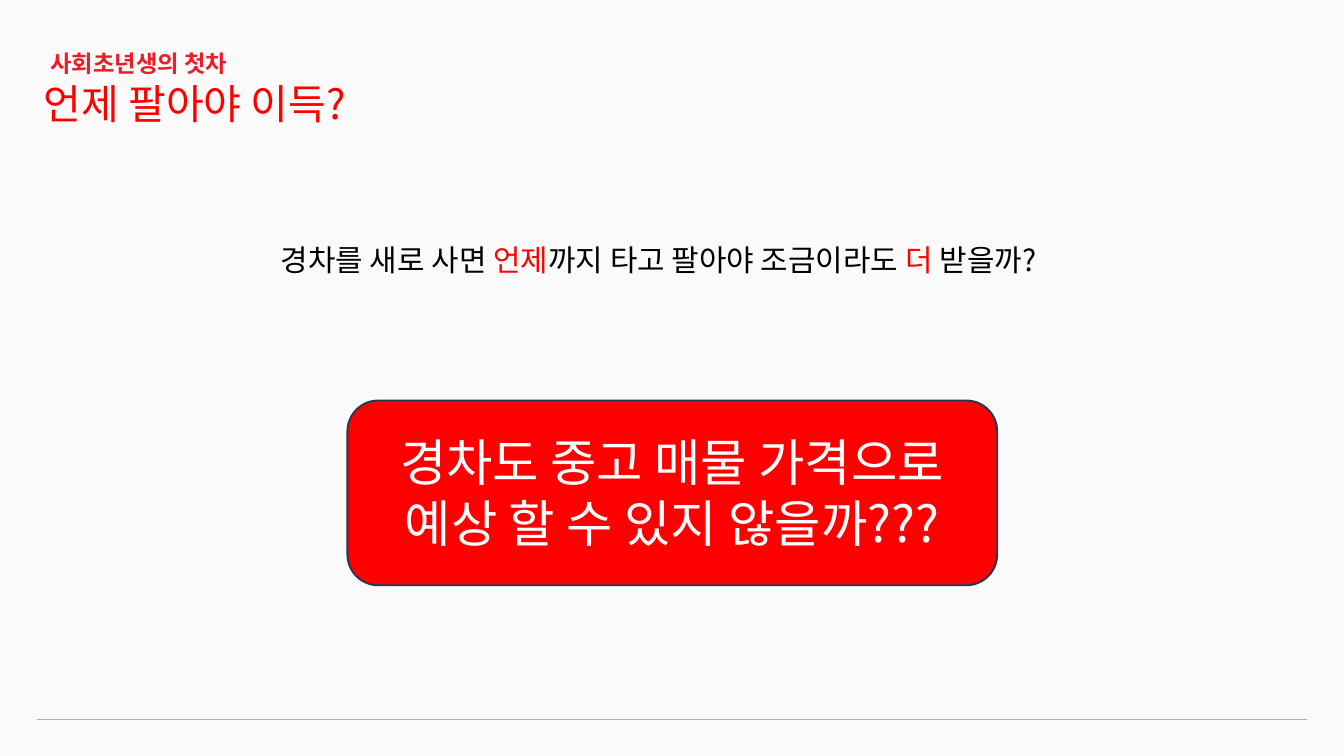
from lxml.etree import SubElement
from pptx import Presentation
from pptx.dml.color import RGBColor
from pptx.enum.shapes import MSO_CONNECTOR, MSO_SHAPE
from pptx.enum.text import MSO_AUTO_SIZE, PP_ALIGN
from pptx.oxml.ns import qn
from pptx.util import Inches, Pt

BACKGROUND = RGBColor(0xFA, 0xFA, 0xFA)
RED = RGBColor(0xFF, 0x00, 0x00)
CRIMSON = RGBColor(0xEB, 0x1D, 0x26)
NAVY = RGBColor(0x23, 0x39, 0x53)
GRAY = RGBColor(0xAF, 0xAF, 0xAF)
BLACK = RGBColor(0x00, 0x00, 0x00)
WHITE = RGBColor(0xFF, 0xFF, 0xFF)
COLUMNS, ROWS = 20, 11.25


class SlideBuilder:
    typeface = "Noto Sans CJK SC"

    def __init__(self, presentation):
        self.column = presentation.slide_width / COLUMNS
        self.row = presentation.slide_height / ROWS
        self.slide = presentation.slides.add_slide(presentation.slide_layouts[6])
        fill = self.slide.background.fill
        fill.solid()
        fill.fore_color.rgb = BACKGROUND

    def place(self, x, y, width, height):
        return (round(x * self.column), round(y * self.row),
                round(width * self.column), round(height * self.row))

    def panel(self, area, color, outline, weight):
        shape = self.slide.shapes.add_shape(MSO_SHAPE.ROUNDED_RECTANGLE, *self.place(*area))
        shape.shadow.inherit = False
        shape.fill.solid()
        shape.fill.fore_color.rgb = color
        shape.line.color.rgb = outline
        shape.line.width = Pt(weight)

    def rule(self, margin, y, color, weight):
        ends = self.place(margin, y, COLUMNS - margin, y)
        connector = self.slide.shapes.add_connector(MSO_CONNECTOR.STRAIGHT, *ends)
        connector.line.color.rgb = color
        connector.line.width = Pt(weight)
        SubElement(connector._element.spPr, qn("a:effectLst"))

    def text(self, area, runs, size, bold=False, frame_format=None, paragraph_format=None):
        frame = self.slide.shapes.add_textbox(*self.place(*area)).text_frame
        paragraph = frame.paragraphs[0]
        frame_values = {"word_wrap": True, "auto_size": MSO_AUTO_SIZE.SHAPE_TO_FIT_TEXT}
        self.apply(frame, frame_values | (frame_format or {}))
        self.apply(paragraph, paragraph_format or {})
        for words, color in runs:
            run = paragraph.add_run()
            run.text = words
            self.apply(run.font, {"name": self.typeface, "size": Pt(size), "bold": bold})
            run.font.color.rgb = color
            SubElement(run.font._element, qn("a:ea"), typeface=self.typeface)

    @staticmethod
    def apply(target, values):
        for name, value in values.items():
            setattr(target, name, value)


def main():
    presentation = Presentation()
    presentation.slide_width = Inches(20)
    presentation.slide_height = Inches(11.25)
    builder = SlideBuilder(presentation)
    no_margins = {f"margin_{side}": 0 for side in ("left", "top", "right", "bottom")}

    builder.panel((5.17, 5.96, 9.67, 2.75), RED, NAVY, 2)
    builder.rule(0.55, 10.7, GRAY, 0.75)
    builder.text((0.75, 0.66, 2.83, 0.46), [("사회초년생의 첫차", CRIMSON)], 25, bold=True,
                 frame_format=no_margins, paragraph_format={"line_spacing": Pt(35)})
    builder.text((0.55, 1.12, 7.53, 0.84), [("언제 팔아야 이득?", RED)], 44)
    question = [
        ("경차를 새로 사면 ", BLACK),
        ("언제", RED),
        ("까지 타고 팔아야 조금이라도 ", BLACK),
        ("더", RED),
        (" 받을까?", BLACK),
    ]
    builder.text((4.08, 3.54, 11.83, 0.64), question, 32)
    builder.text((5.25, 6.37, 9.5, 1.92),
                 [("경차도 중고 매물 가격으로 예상 할 수 있지 않을까???", WHITE)], 54,
                 paragraph_format={"alignment": PP_ALIGN.CENTER})
    presentation.save("out.pptx")


if __name__ == "__main__":
    main()
